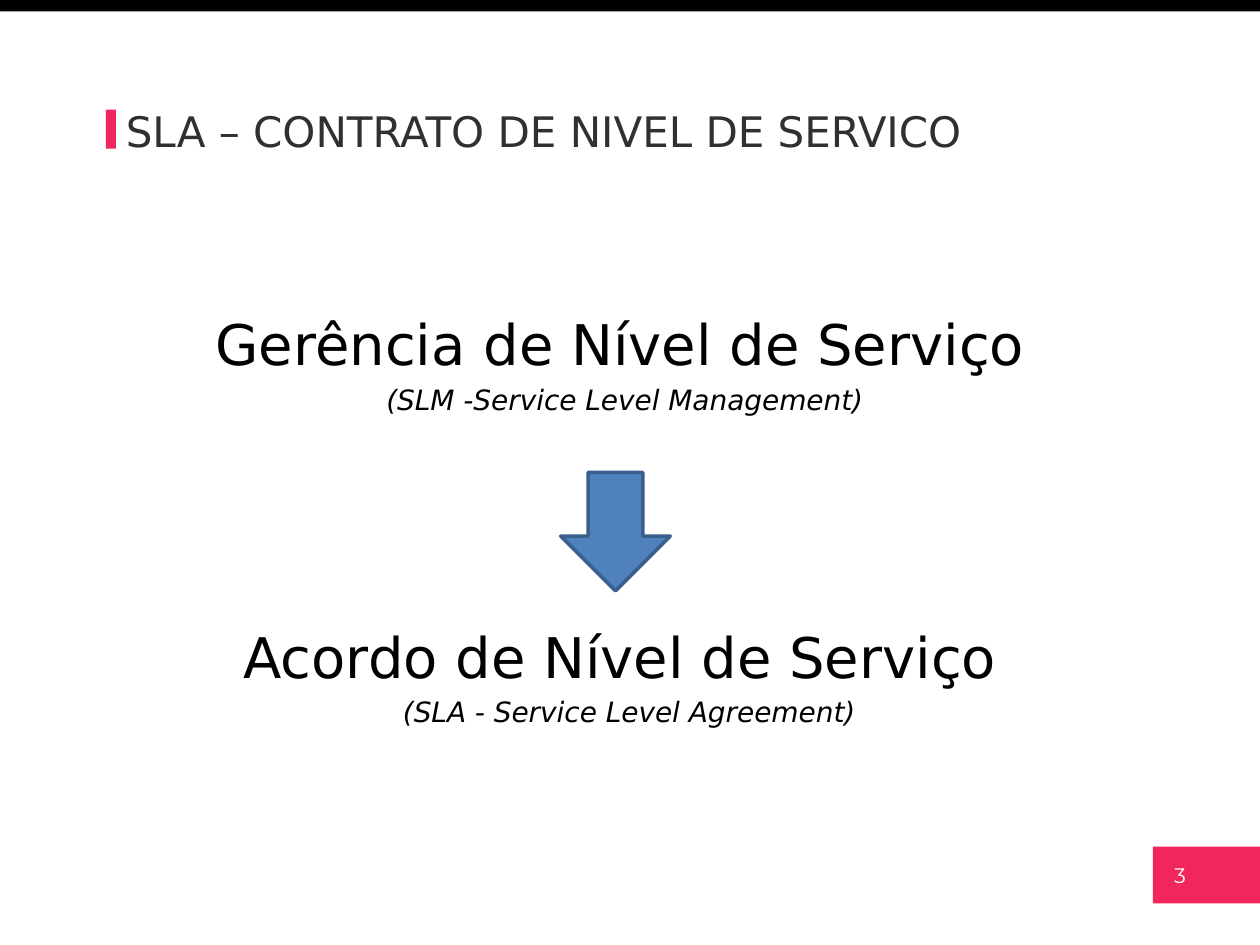
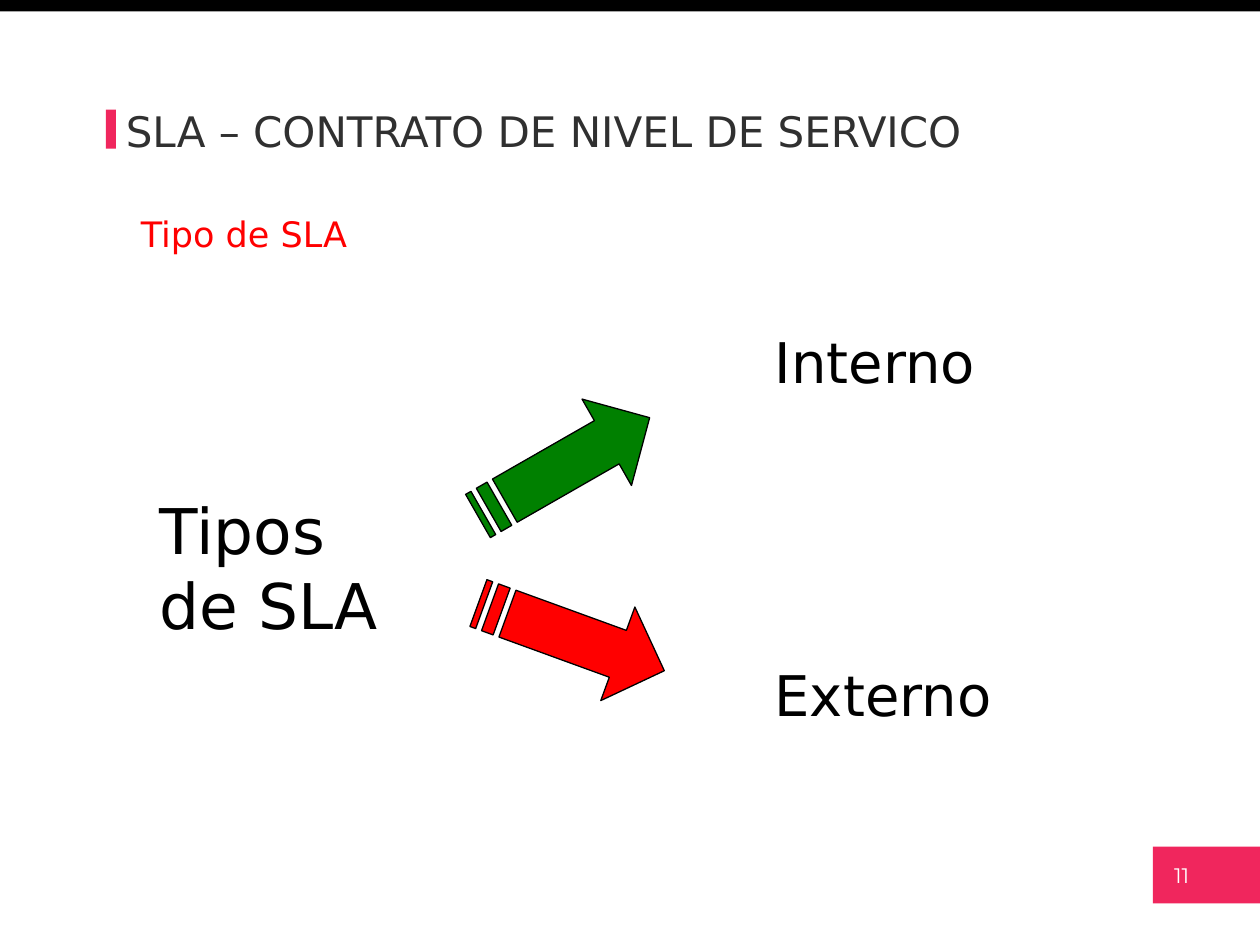
from dataclasses import dataclass
from typing import NamedTuple

from pptx import Presentation
from pptx.dml.color import RGBColor
from pptx.enum.shapes import MSO_SHAPE as Preset
from pptx.enum.text import MSO_ANCHOR as Anchor, PP_ALIGN as Align
from pptx.util import Inches, Pt

CELL = Inches(0.1)  # the slide is a grid of 100 columns by 75 rows
COLUMNS, ROWS = 100, 75


@dataclass(frozen=True)
class Theme:
    accent: str = "F0265D"
    black: str = "000000"
    white: str = "FFFFFF"
    heading: str = "303030"
    blue: str = "4F81BD"
    blue_edge: str = "3A5F8C"
    green: str = "008000"
    red: str = "FF0000"
    text_font: str = "DejaVu Sans"
    number_font: str = "Montserrat"
    huge: int = 36
    large: int = 32
    title: int = 24
    subtitle: int = 20
    caption: int = 16
    number: int = 12


THEME = Theme()


class Area(NamedTuple):
    """A rectangle in grid columns and rows."""
    column: float
    row: float
    columns: float
    rows: float

    def lengths(self) -> list[int]:
        return [round(cells * CELL) for cells in self]


class Band(NamedTuple):
    area: Area
    color: str


class Term(NamedTuple):
    row: float
    name: str
    english: str


class StripedArrow(NamedTuple):
    area: Area
    rotation: float
    color: str


class Label(NamedTuple):
    area: Area
    text: str
    size: int


TITLE = "SLA – CONTRATO DE NIVEL DE SERVICO"
BANDS = [
    Band(Area(8.4, 8.7, 0.8, 3.1), THEME.accent),
    Band(Area(0, 0, COLUMNS, 0.9), THEME.black),
    Band(Area(91.5, 67.2, 8.5, 4.5), THEME.accent),
]
TERMS = [
    Term(24.1, "Gerência de Nível de Serviço ", "(SLM -Service Level Management) "),
    Term(48.9, "Acordo de Nível de Serviço ", "(SLA - Service Level Agreement)"),
]
ARROWS = [
    StripedArrow(Area(36.9, 33.1, 15.7, 7.9), 330.2, THEME.green),
    StripedArrow(Area(37.5, 46.6, 15.7, 7.9), 20, THEME.red),
]
LABELS = [
    Label(Area(11.7, 38.5, 20.5, 13.1), "Tipos\nde SLA", THEME.huge),
    Label(Area(60.5, 25.5, 22, 6.4), "Interno", THEME.large),
    Label(Area(60.5, 51.9, 22, 6.4), "Externo", THEME.large),
]

# Outlines on a lattice of 32 steps along the arrow and 4 across it
ARROW_STEPS = (32, 4)
ARROW_OUTLINES = [
    [(24, 0), (24, 1), (5, 1), (5, 3), (24, 3), (24, 4), (32, 2)],
    [(2, 1), (2, 3), (4, 3), (4, 1)],
    [(0, 1), (0, 3), (1, 3), (1, 1)],
]


def paint(shape, fill: str, line: str | None = None, width: float = 0) -> None:
    shape.shadow.inherit = False
    shape.fill.solid()
    shape.fill.fore_color.rgb = RGBColor.from_string(fill)
    if line is None:
        shape.line.fill.background()
    else:
        shape.line.color.rgb = RGBColor.from_string(line)
        shape.line.width = Pt(width)


def write(frame, text: str, *, size: int, color: str = THEME.black,
          font: str = THEME.text_font, italic: bool = False,
          align: Align = Align.LEFT, spacing: float | None = None,
          before: float = 0) -> None:
    """Append each line of the text to the frame as a paragraph."""
    for line in text.split("\n"):
        para = frame.paragraphs[-1]
        if para.runs:
            para = frame.add_paragraph()
        para.alignment = align
        para.line_spacing = spacing
        para.space_before = Pt(before)
        span = para.add_run()
        span.text = line
        span.font.name = font
        span.font.size = Pt(size)
        span.font.italic = italic
        span.font.color.rgb = RGBColor.from_string(color)


def add_frame(page, area: Area, anchor: Anchor = Anchor.TOP):
    frame = page.shapes.add_textbox(*area.lengths()).text_frame
    frame.word_wrap = True
    frame.vertical_anchor = anchor
    return frame


def add_page(deck, number: int):
    """Add a blank page with the shared bands, page number and title."""
    page = deck.slides.add_slide(deck.slide_layouts[6])
    for band in BANDS:
        box = page.shapes.add_shape(Preset.RECTANGLE, *band.area.lengths())
        paint(box, band.color)
    write(add_frame(page, Area(92.2, 68, 4, 3)), str(number),
          size=THEME.number, color=THEME.white, font=THEME.number_font)
    write(add_frame(page, Area(9, 8.3, 81.5, 4.7)), TITLE,
          size=THEME.title, color=THEME.heading, spacing=0.9)
    return page


def add_striped_arrow(page, arrow: StripedArrow) -> None:
    left, top, width, height = arrow.area.lengths()
    along, across = ARROW_STEPS
    first, *others = ARROW_OUTLINES
    builder = page.shapes.build_freeform(*first[0], scale=(width / along, height / across))
    builder.add_line_segments(first[1:], close=True)
    for outline in others:
        builder.move_to(*outline[0])
        builder.add_line_segments(outline[1:], close=True)
    shape = builder.convert_to_shape(left, top)
    shape.rotation = arrow.rotation
    paint(shape, arrow.color, THEME.black, 0.75)


def add_management_page(deck) -> None:
    page = add_page(deck, 3)
    for term in TERMS:
        frame = add_frame(page, Area(8.4, term.row, 83.1, 10))
        write(frame, term.name, size=THEME.large, align=Align.CENTER, before=3)
        write(frame, term.english, size=THEME.caption, italic=True,
              align=Align.CENTER, before=3)
    arrow = page.shapes.add_shape(Preset.DOWN_ARROW, *Area(44.5, 37.5, 8.7, 9.4).lengths())
    paint(arrow, THEME.blue, THEME.blue_edge, 2)


def add_types_page(deck) -> None:
    page = add_page(deck, 11)
    write(add_frame(page, Area(10.2, 14.6, 81.3, 7.9), Anchor.MIDDLE), "Tipo de SLA",
          size=THEME.subtitle, color=THEME.red)
    for arrow in ARROWS:
        add_striped_arrow(page, arrow)
    for label in LABELS:
        write(add_frame(page, label.area), label.text, size=label.size)


def main() -> None:
    deck = Presentation()
    deck.slide_width, deck.slide_height = COLUMNS * CELL, ROWS * CELL
    add_management_page(deck)
    add_types_page(deck)
    deck.save("out.pptx")


if __name__ == "__main__":
    main()
